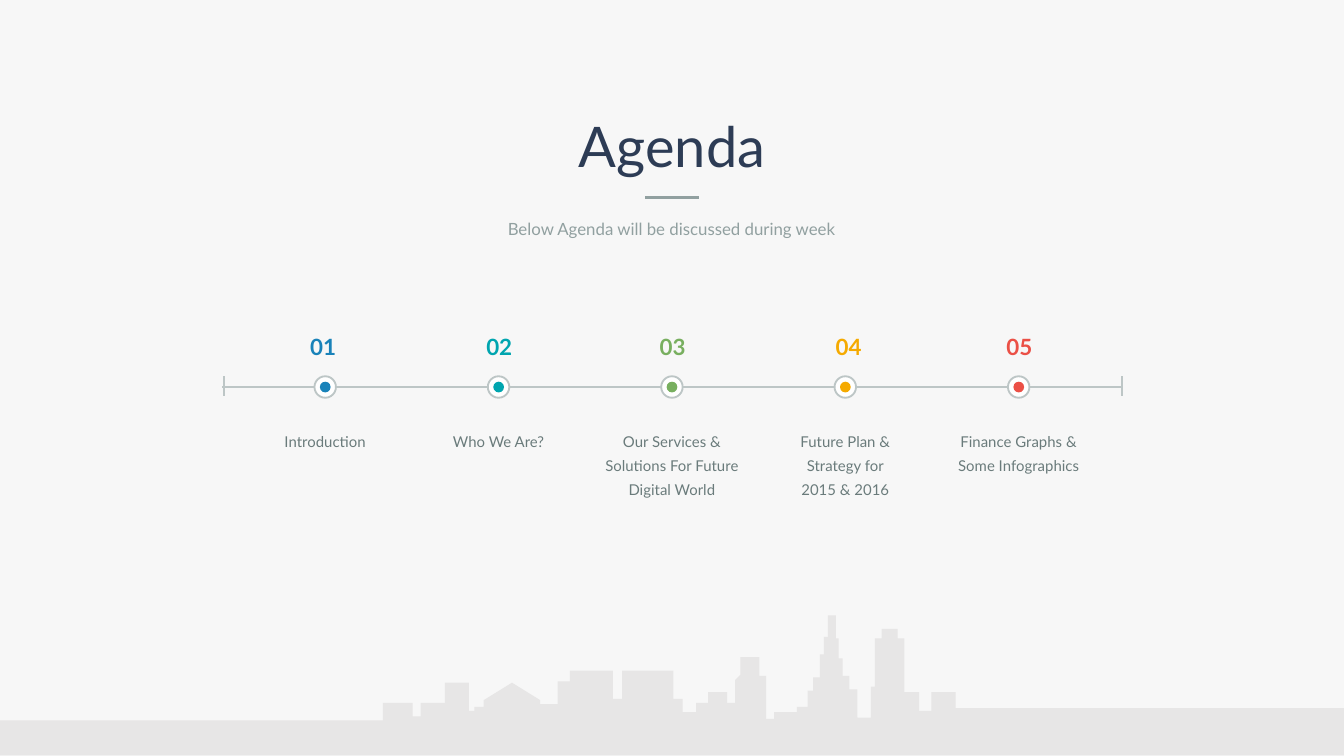
from pptx import Presentation
from pptx.dml.color import RGBColor
from pptx.enum.shapes import MSO_CONNECTOR, MSO_SHAPE
from pptx.enum.text import MSO_ANCHOR, MSO_AUTO_SIZE, PP_ALIGN
from pptx.oxml.ns import qn
from pptx.util import Inches, Pt
from lxml.etree import SubElement

HUES = {
    "back": "F7F7F7", "city": "E7E6E6", "title": "2D3C55", "sub": "91A0A0",
    "rail": "BDC6C6", "text": "6A7B7B", "white": "FFFFFF",
    "blue": "1982B9", "teal": "00A5AF", "green": "78AF5F",
    "gold": "F5AA00", "red": "EB5046",
}
FRAME = {
    "margin_left": 0, "margin_right": 0, "margin_top": 0, "margin_bottom": 0,
    "word_wrap": True, "auto_size": MSO_AUTO_SIZE.NONE,
    "vertical_anchor": MSO_ANCHOR.TOP,
}


def write(box, at, lines, size, hue, bold=False, lead=1.0):
    """Place a text shape and fill it with centred lines."""
    for name, value in zip(("left", "top", "width", "height"), at):
        setattr(box, name, Inches(value))
    frame = box.text_frame
    for name, value in FRAME.items():
        setattr(frame, name, value)
    frame.text = "\n".join(lines)
    para = {"alignment": PP_ALIGN.CENTER, "line_spacing": lead, "space_before": Pt(0)}
    font = {"name": "Lato", "size": Pt(size), "bold": bold}
    for line in frame.paragraphs:
        for name, value in para.items():
            setattr(line, name, value)
        for name, value in font.items():
            setattr(line.font, name, value)
        line.font.color.rgb = RGBColor.from_string(HUES[hue])


def paint(shape, fill, edge=None):
    """Give a shape a flat fill and an optional thin edge."""
    shape.shadow.inherit = False
    shape.fill.solid()
    shape.fill.fore_color.rgb = RGBColor.from_string(HUES[fill])
    if edge:
        shape.line.color.rgb = RGBColor.from_string(HUES[edge])
        shape.line.width = Pt(1)
    else:
        shape.line.fill.background()


# Widescreen slide
deck = Presentation()
deck.slide_width = Inches(10)
deck.slide_height = Inches(10) * 9 // 16
slide = deck.slides.add_slide(deck.slide_layouts[0])
shapes = slide.shapes
slide.background.fill.solid()
slide.background.fill.fore_color.rgb = RGBColor.from_string(HUES["back"])

# Skyline in hundredths of an inch: each wall is x and its new height;
# a third value marks the end of a slope
walls = [
    (285, 523), (307, 533), (313, 523), (331, 508), (349, 529),
    (353, 526), (360, 521), (381, 508, 508), (402, 521, 524),
    (415, 507), (424, 499), (456, 520), (463, 499), (501, 520),
    (508, 530), (518, 523), (527, 515), (541, 523), (547, 506),
    (551, 502, 489), (565, 503), (570, 535), (576, 530), (593, 526),
    (601, 514), (605, 504), (610, 487), (613, 474), (616, 458),
    (622, 475), (624, 490), (627, 503), (632, 513), (638, 534),
    (648, 511), (651, 475), (656, 468), (668, 475), (673, 515),
    (684, 529), (693, 515), (711, 527),
]
high = 536
points = [(-17, high)]
for x, *tops in walls:
    start = tops[0] if len(tops) == 2 else high
    high = tops[-1]
    points += [(x, start), (x, high)]
points += [(1017, high), (1017, 562)]
pen = shapes.build_freeform(-17, 562, scale=Inches(0.01))
pen.add_line_segments(points, close=True)
paint(pen.convert_to_shape(), "city")

# Heading
write(shapes.title, (3.08, 0.83, 3.84, 0.5), ["Agenda"], 30, "title")
write(slide.placeholders[1], (3.66, 1.63, 2.67, 0.15),
      ["Below Agenda will be discussed during week"], 9, "sub")
rule = shapes.add_shape(MSO_SHAPE.RECTANGLE, Inches(4.8), Inches(1.46),
                        Inches(0.4), Inches(0.02))
paint(rule, "sub")

# Timeline rail with its end ticks
for x1, y1, x2, y2, width in [
    (1.65, 2.88, 8.35, 2.88, 1.5),
    (1.67, 2.8, 1.67, 2.95, 1),
    (8.35, 2.8, 8.35, 2.95, 1),
]:
    rail = shapes.add_connector(MSO_CONNECTOR.STRAIGHT, Inches(x1), Inches(y1),
                                Inches(x2), Inches(y2))
    rail.line.color.rgb = RGBColor.from_string(HUES["rail"])
    rail.line.width = Pt(width)
    SubElement(rail._element.spPr, qn("a:effectLst"))

# Stops: hue, left of the number, label height, label lines
stops = [
    ("blue", 2.29, 0.16, ["Introduction"]),
    ("teal", 3.6, 0.16, ["Who We Are?"]),
    ("green", 4.89, 0.55, ["Our Services & Solutions For Future Digital World"]),
    ("gold", 6.2, 0.55, ["Future Plan & Strategy for", "2015 & 2016"]),
    ("red", 7.47, 0.36, ["Finance Graphs & Some Infographics"]),
]
for i, (hue, left, tall, lines) in enumerate(stops):
    mid = 2.42 + 1.29 * i
    for size, fill, edge in [(0.16, "white", "rail"), (0.08, hue, None)]:
        dot = shapes.add_shape(MSO_SHAPE.OVAL, Inches(mid - size / 2),
                               Inches(2.88 - size / 2), Inches(size), Inches(size))
        paint(dot, fill, edge)
    write(shapes.add_textbox(0, 0, 0, 0), (left, 2.48, 0.23, 0.2),
          [f"{i + 1:02}"], 12, hue, bold=True)
    write(shapes.add_textbox(0, 0, 0, 0), (mid - 0.5, 3.17, 1, tall),
          lines, 8, "text", lead=Pt(13))

deck.save("out.pptx")
